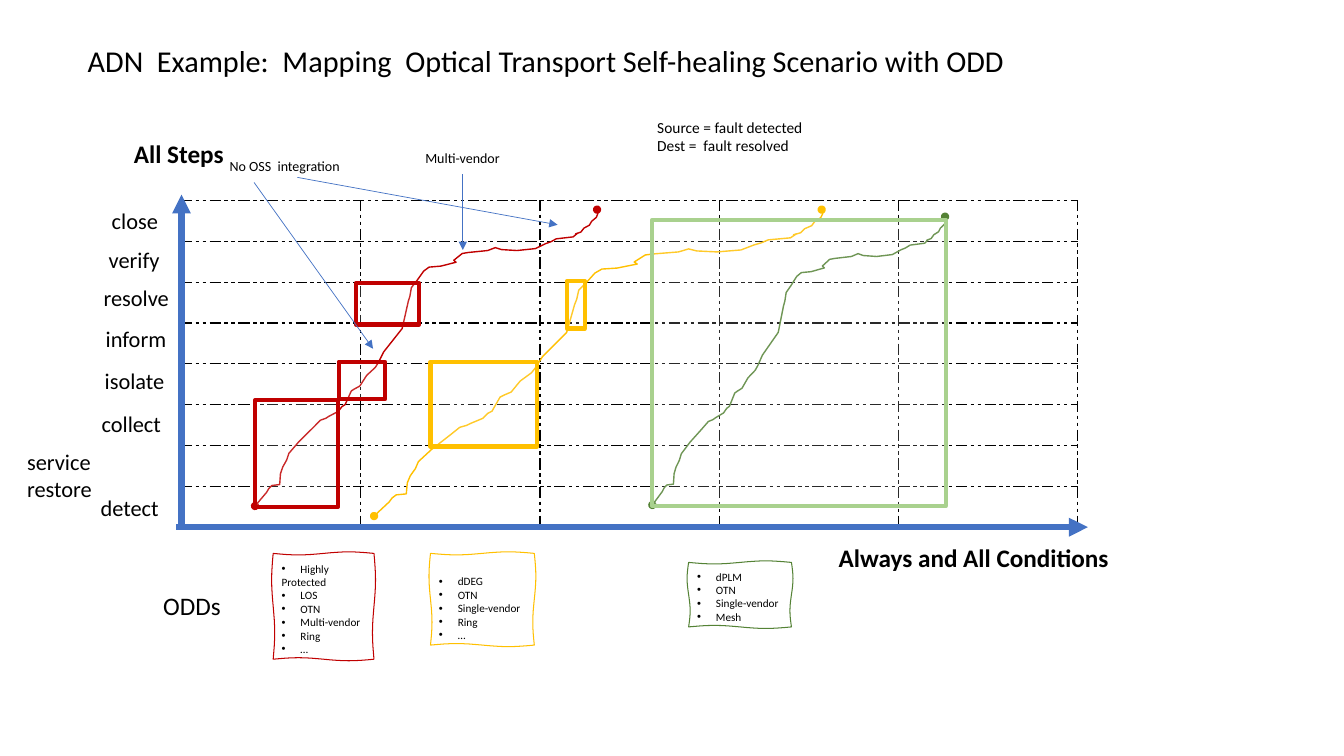
from math import pi, sin

from lxml.etree import SubElement
from pptx import Presentation
from pptx.dml.color import RGBColor
from pptx.enum.shapes import MSO_CONNECTOR, MSO_SHAPE
from pptx.enum.text import MSO_ANCHOR as Anchor, MSO_AUTO_SIZE as AutoSize, PP_ALIGN as Align
from pptx.oxml.ns import qn
from pptx.util import Emu, Pt

EMU_PER_PX = 9144  # 100 px to the inch

BLACK = RGBColor(0x00, 0x00, 0x00)
WHITE = RGBColor(0xFF, 0xFF, 0xFF)
BLUE = RGBColor(0x44, 0x72, 0xC4)
RED = RGBColor(0xC0, 0x00, 0x00)
YELLOW = RGBColor(0xFF, 0xC0, 0x00)
GREEN = RGBColor(0x54, 0x82, 0x35)
LIGHT_GREEN = RGBColor(0xA9, 0xD1, 0x8E)

# Healing path from fault to fix, in a field of 445 by 304
FIELD = (445, 304)
HEALING_PATH = [
    (0, 304), (15, 290), (18, 286), (22, 283), (32, 282), (33, 271), (36, 264),
    (41, 257), (44, 250), (57, 238), (75, 224), (85, 216), (92, 214), (96, 212),
    (108, 207), (113, 202), (117, 200), (121, 193), (125, 186), (129, 184),
    (136, 181), (145, 170), (156, 162), (160, 157), (167, 146), (191, 122),
    (195, 108), (199, 94), (201, 89), (203, 80), (210, 73), (219, 63), (226, 59),
    (241, 58), (261, 54), (258, 52), (269, 45), (277, 44), (302, 42), (312, 39),
    (320, 41), (340, 42), (364, 40), (377, 35), (384, 33), (391, 30), (413, 28),
    (419, 24), (416, 25), (423, 23), (427, 19), (434, 16), (437, 12), (443, 8),
    (445, 4), (444, 0),
]

STEPS = [("close", 101, 201, 70), ("verify", 98, 239, 71), ("resolve", 93, 277, 86),
         ("inform", 95, 318, 85), ("isolate", 94, 359, 84), ("collect", 91, 402, 84),
         ("service restore", 17, 440, 152), ("detect", 90, 485, 83)]

# Path colour, path area, frame colour, frames, card area, card lines
SCENARIOS = [
    (RED, (253, 208, 340, 294), RED,
     [(336, 359, 46, 37), (353, 281, 63, 41), (253, 397, 82, 106)], (271, 549, 100, 105),
     ["Highly", "Protected", "LOS", "OTN", "Multi-vendor", "Ring", "…"]),
    (YELLOW, (371, 208, 445, 304), YELLOW,
     [(427, 359, 106, 84), (562, 279, 18, 47)], (427, 549, 103, 91),
     ["dDEG", "OTN", "Single-vendor", "Ring", "…"]),
    (GREEN, (647, 215, 291, 286), LIGHT_GREEN,
     [(647, 218, 291, 284)], (683, 558, 102, 64),
     ["dPLM", "OTN", "Single-vendor", "Mesh"]),
]


def px(value):
    return Emu(round(value * EMU_PER_PX))


def write(para, text, size=16, bold=False, color=BLACK, font="Calibri"):
    span = para.add_run()
    span.text = text
    span.font.name, span.font.size, span.font.bold = font, Pt(size), bold
    span.font.color.rgb = color


def add_bullet(para):
    props = para._p.get_or_add_pPr()
    props.set("marL", "171450")
    props.set("indent", "-171450")
    SubElement(props, qn("a:buFont"), typeface="Arial")
    SubElement(props, qn("a:buChar"), char="•")


class Painter:
    def __init__(self, page):
        self.page = page
        self.shapes = page.shapes

    def style_line(self, item, color, weight, head=None, tail=None):
        item.line.color.rgb = color
        item.line.width = Pt(weight)
        outline = item.line._get_or_add_ln()
        for tag, kind in (("a:headEnd", head), ("a:tailEnd", tail)):
            if kind:
                SubElement(outline, qn(tag), type=kind)

    def title(self, text, *area):
        box = self.shapes.title
        box.left, box.top, box.width, box.height = map(px, area)
        frame = box.text_frame
        frame.auto_size, frame.word_wrap = AutoSize.NONE, True
        frame.vertical_anchor, frame.margin_top = Anchor.TOP, 0
        para = frame.paragraphs[0]
        para.alignment, para.line_spacing = Align.LEFT, 0.9
        write(para, text, size=21.6)

    def label(self, lines, *area, **style):
        frame = self.shapes.add_textbox(*map(px, area)).text_frame
        frame.word_wrap, frame.auto_size = False, AutoSize.SHAPE_TO_FIT_TEXT
        for index, line in enumerate(lines):
            para = frame.add_paragraph() if index else frame.paragraphs[0]
            write(para, line, **style)

    def grid(self, rows, columns, left, top, width, height):
        table = self.shapes.add_table(rows, columns, *map(px, (left, top, width, height))).table
        table.first_row = table.horz_banding = False
        for row in table.rows:
            row.height = px(height / rows)
        for cell in table.iter_cells():
            cell.margin_top = cell.margin_bottom = 0
            props = cell._tc.get_or_add_tcPr()
            for side in ("a:lnL", "a:lnR", "a:lnT", "a:lnB"):
                border = SubElement(props, qn(side), w=str(Pt(1)))
                fill = SubElement(border, qn("a:solidFill"))
                SubElement(fill, qn("a:srgbClr"), val=str(BLACK))
                SubElement(border, qn("a:prstDash"), val="sysDashDotDot")
            cell.fill.background()

    def arrow(self, x1, y1, x2, y2, weight):
        line = self.shapes.add_connector(MSO_CONNECTOR.STRAIGHT, *map(px, (x1, y1, x2, y2)))
        self.style_line(line, BLUE, weight, tail="triangle")
        SubElement(line._element.spPr, qn("a:effectLst"))

    def frame(self, area, color):
        box = self.shapes.add_shape(MSO_SHAPE.RECTANGLE, *map(px, area))
        box.shadow.inherit = False
        box.fill.solid()
        box.fill.fore_color.rgb = WHITE
        tint = box._element.spPr.find(qn("a:solidFill")).find(qn("a:srgbClr"))
        SubElement(tint, qn("a:alpha"), val="16000")
        self.style_line(box, color, 3)

    def outline(self, points, color, weight, close, **ends):
        corners = [(px(x), px(y)) for x, y in points]
        builder = self.shapes.build_freeform(*corners[0])
        builder.add_line_segments(corners[1:], close=close)
        shape = builder.convert_to_shape()
        shape.shadow.inherit = False
        shape.fill.background()
        self.style_line(shape, color, weight, **ends)
        return shape

    def healing_path(self, area, color):
        left, top, width, height = area
        points = [(left + x * width / FIELD[0], top + y * height / FIELD[1])
                  for x, y in HEALING_PATH]
        self.outline(points, color, 1, False, head="oval", tail="oval")

    def wavy_card(self, area, color, lines):
        left, top, width, height = area
        steps, swing = 16, 1.5
        wave = [(step / steps, swing * sin(2 * pi * step / steps)) for step in range(steps)]
        points = [(left + t * width, top + w) for t, w in wave]
        points += [(left + width + w, top + t * height) for t, w in wave]
        points += [(left + width - t * width, top + height + w) for t, w in wave]
        points += [(left + w, top + height - t * height) for t, w in wave]
        frame = self.outline(points, color, 0.75, True).text_frame
        frame.word_wrap, frame.vertical_anchor = True, Anchor.BOTTOM
        for index, line in enumerate(lines):
            para = frame.add_paragraph() if index else frame.paragraphs[0]
            para.alignment = Align.LEFT
            if line != "Protected":  # second line of the first entry
                add_bullet(para)
            write(para, line, size=8)


def main():
    deck = Presentation()
    deck.slide_width, deck.slide_height = px(1333), px(750)
    painter = Painter(deck.slides.add_slide(deck.slide_layouts[5]))

    # Grid, title and step names
    painter.grid(8, 5, 180, 199, 889, 324)
    painter.title("ADN  Example:  Mapping  Optical Transport Self-healing Scenario with ODD",
                  77, 46, 1150, 61)
    for name, left, top, width in STEPS:
        painter.label([name], left, top, width, 38)

    # Axes
    painter.label(["All Steps"], 123, 132, 110, 40, size=18, bold=True)
    painter.label(["Always and All Conditions"], 822, 533, 294, 40, size=18, bold=True)
    painter.arrow(180, 523, 180, 193, 4.5)
    painter.arrow(175, 523, 1079, 523, 4.5)

    # Scenarios with their operating domains
    for color, path_area, frame_color, frames, card_area, lines in SCENARIOS:
        painter.healing_path(path_area, color)
        for area in frames:
            painter.frame(area, frame_color)
        painter.wavy_card(card_area, color, lines)
    painter.label(["ODDs"], 152, 581, 78, 40, size=18)

    # Callouts
    painter.label(["Multi-vendor"], 412, 143, 95, 27, size=10)
    painter.label(["No OSS  integration"], 218, 151, 132, 27, size=10)
    for ends in [(459, 173, 459, 248), (295, 176, 553, 223), (252, 181, 370, 346)]:
        painter.arrow(*ends, 0.5)
    painter.label(["Source = fault detected", "Dest =  fault resolved"], 642, 112, 166, 47, size=11)

    deck.save("out.pptx")


if __name__ == "__main__":
    main()
